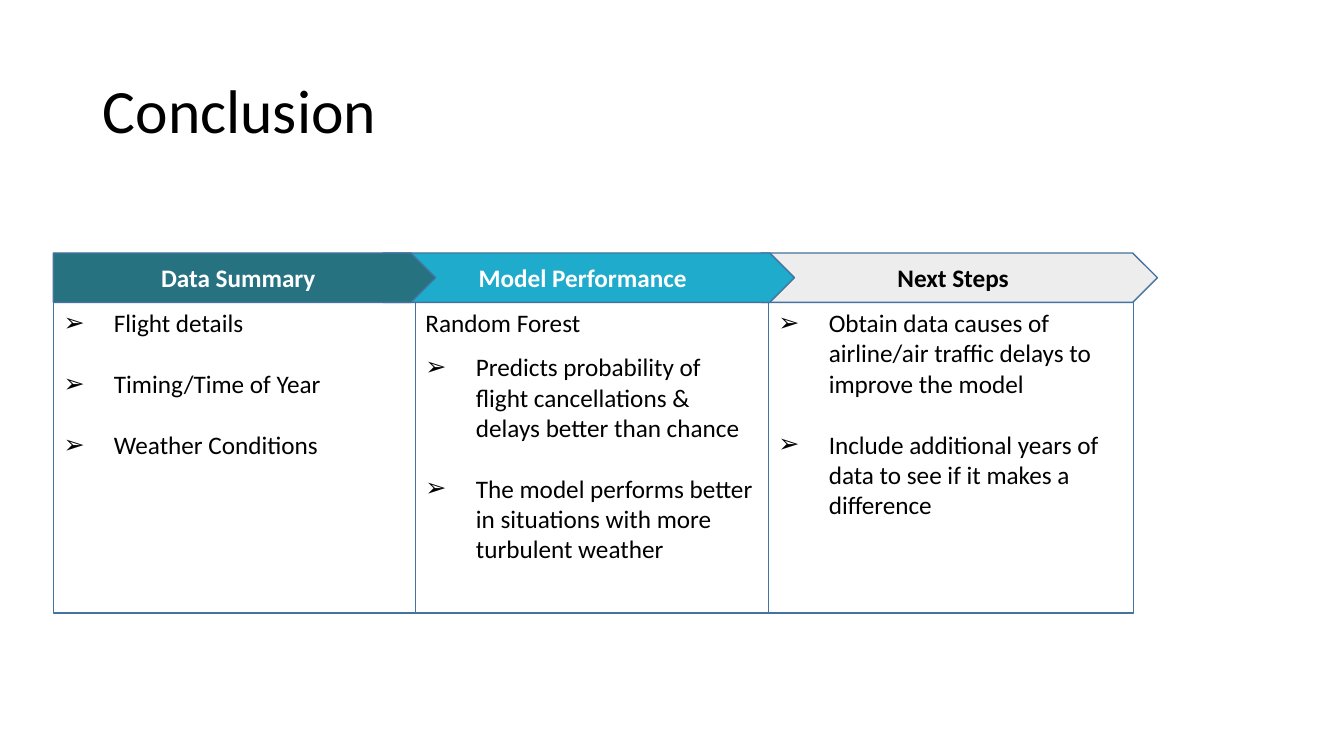
"""Build the conclusion slide with three chevron-headed columns."""
from typing import NamedTuple

from lxml import etree
from pptx import Presentation
from pptx.dml.color import RGBColor
from pptx.enum.shapes import MSO_SHAPE
from pptx.enum.text import MSO_ANCHOR, MSO_AUTO_SIZE, PP_ALIGN
from pptx.oxml.ns import qn
from pptx.util import Pt

PX = 9144
COMPARISON_LAYOUT = 4
HEADER_SHAPE = MSO_SHAPE.PENTAGON
TOP, MIDDLE = MSO_ANCHOR.TOP, MSO_ANCHOR.MIDDLE
LEFT, CENTER = PP_ALIGN.LEFT, PP_ALIGN.CENTER
NO_AUTOFIT = MSO_AUTO_SIZE.NONE

BLACK = RGBColor(0x00, 0x00, 0x00)
WHITE = RGBColor(0xFF, 0xFF, 0xFF)
OUTLINE = RGBColor(0x43, 0x73, 0x9E)
TEAL = RGBColor(0x27, 0x72, 0x81)
CYAN = RGBColor(0x1E, 0xAB, 0xCC)
PALE_GREY = RGBColor(0xED, 0xED, 0xED)

FONT = "Calibri"
TITLE_SIZE, TEXT_SIZE = 44, 18
HEADER_TOP, HEADER_HEIGHT = 251, 49
PANEL_TOP, PANEL_HEIGHT = 300, 308
BULLET_INDENT = 50


class Item(NamedTuple):
    text: str
    gap: int = 22
    bulleted: bool = True


class Column(NamedTuple):
    heading: str
    fill: RGBColor
    heading_color: RGBColor
    header_left: int
    header_width: int
    panel_left: int
    panel_width: int
    items: tuple[Item, ...]


COLUMNS = (
    Column("Data Summary", TEAL, WHITE, 53, 379, 53, 359, (
        Item("Flight details", 0),
        Item("Timing/Time of Year"),
        Item("Weather Conditions"),
    )),
    Column("Model Performance", CYAN, WHITE, 380, 408, 412, 350, (
        Item("Random Forest", 0, False),
        Item("Predicts probability of flight cancellations & delays better than chance", 10),
        Item("The model performs better in situations with more turbulent weather"),
    )),
    Column("Next Steps", PALE_GREY, BLACK, 755, 393, 762, 362, (
        Item("Obtain data causes of airline/air traffic delays to improve the model", 0),
        Item("Include additional years of data to see if it makes a difference"),
    )),
)


def place(shape, left: int, top: int, width: int, height: int) -> None:
    shape.left, shape.top = left * PX, top * PX
    shape.width, shape.height = width * PX, height * PX


def outline(shape) -> None:
    shape.line.color.rgb = OUTLINE
    shape.line.width = Pt(1)


def add_run(paragraph, text: str, size: int, color: RGBColor, bold: bool = False) -> None:
    run = paragraph.add_run()
    run.text = text
    run.font.name = FONT
    run.font.size = Pt(size)
    run.font.bold = bold
    run.font.color.rgb = color


def set_bullet(paragraph, bulleted: bool) -> None:
    indent = BULLET_INDENT * PX if bulleted else 0
    properties = paragraph._p.get_or_add_pPr()
    properties.set("marL", str(indent))
    properties.set("indent", str(-indent))
    if bulleted:
        etree.SubElement(properties, qn("a:buFont")).set("typeface", FONT)
        etree.SubElement(properties, qn("a:buChar")).set("char", "➢")
    else:
        etree.SubElement(properties, qn("a:buNone"))


def fill_title(title) -> None:
    place(title, 92, 40, 1150, 145)
    frame = title.text_frame
    frame.auto_size = NO_AUTOFIT
    frame.vertical_anchor = MIDDLE
    paragraph = frame.paragraphs[0]
    paragraph.alignment = LEFT
    paragraph.line_spacing = 0.9
    add_run(paragraph, "Conclusion", TITLE_SIZE, BLACK)


def fill_panel(panel, column: Column) -> None:
    place(panel, column.panel_left, PANEL_TOP, column.panel_width, PANEL_HEIGHT)
    outline(panel)
    frame = panel.text_frame
    frame.auto_size = NO_AUTOFIT
    frame.vertical_anchor = TOP
    for position, item in enumerate(column.items):
        paragraph = frame.add_paragraph() if position else frame.paragraphs[0]
        set_bullet(paragraph, item.bulleted)
        paragraph.alignment = LEFT
        paragraph.space_before = Pt(item.gap)
        add_run(paragraph, item.text, TEXT_SIZE, BLACK)


def add_header(slide, column: Column) -> None:
    header = slide.shapes.add_shape(
        HEADER_SHAPE, column.header_left * PX, HEADER_TOP * PX,
        column.header_width * PX, HEADER_HEIGHT * PX)
    header.shadow.inherit = False
    header.fill.solid()
    header.fill.fore_color.rgb = column.fill
    outline(header)
    header.text_frame.vertical_anchor = MIDDLE
    paragraph = header.text_frame.paragraphs[0]
    paragraph.alignment = CENTER
    add_run(paragraph, column.heading, TEXT_SIZE, column.heading_color, True)


def main() -> None:
    deck = Presentation()
    deck.slide_width, deck.slide_height = 1333 * PX, 750 * PX
    slide = deck.slides.add_slide(deck.slide_layouts[COMPARISON_LAYOUT])
    fill_title(slide.shapes.title)
    *panels, spare = list(slide.placeholders)[1:5]
    spare.element.getparent().remove(spare.element)
    for panel, column in zip(panels, COLUMNS):
        fill_panel(panel, column)
    for column in reversed(COLUMNS):
        add_header(slide, column)
    deck.save("out.pptx")


if __name__ == "__main__":
    main()
